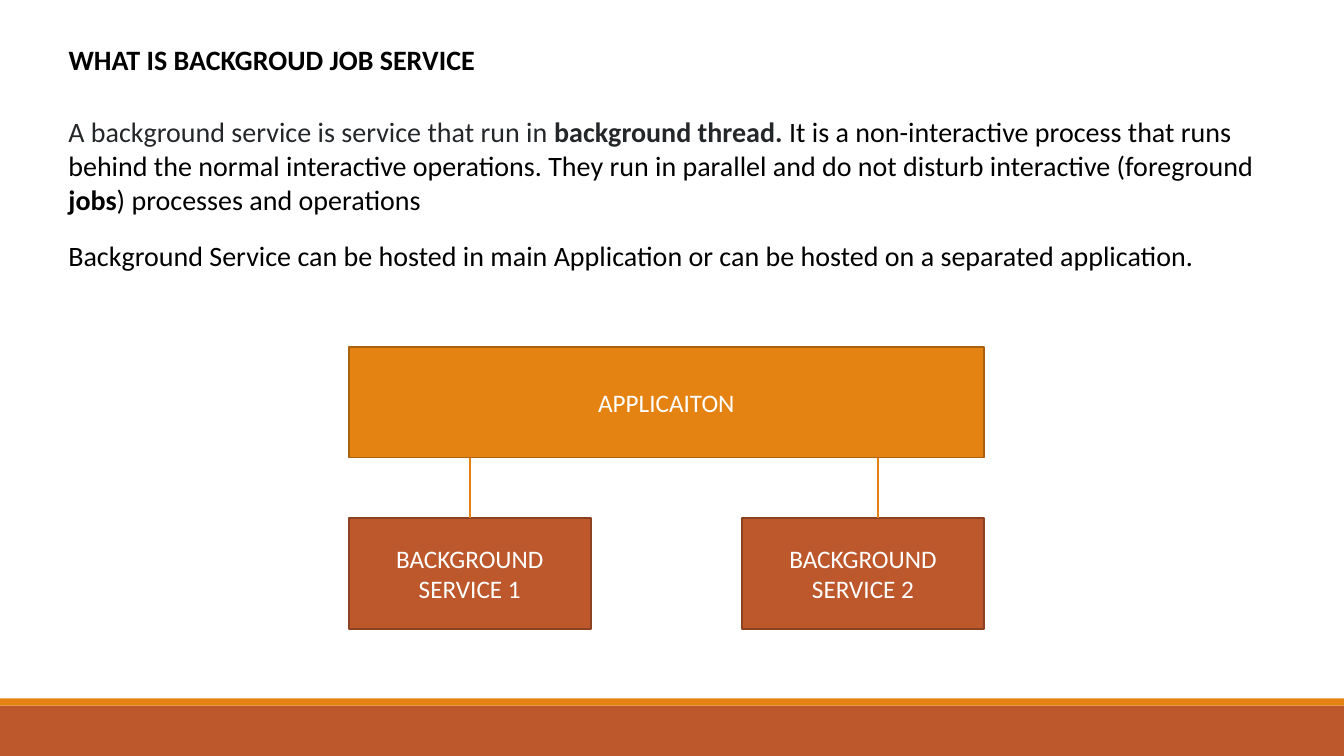
from pptx import Presentation
from pptx.dml.color import RGBColor
from pptx.enum.shapes import MSO_CONNECTOR, MSO_SHAPE
from pptx.enum.text import MSO_ANCHOR, MSO_AUTO_SIZE, PP_ALIGN
from pptx.oxml.ns import qn
from pptx.util import Inches, Pt
from lxml import etree

FONT = "Calibri"
BLACK = RGBColor(0x00, 0x00, 0x00)
CHARCOAL = RGBColor(0x24, 0x27, 0x29)
WHITE = RGBColor(0xFF, 0xFF, 0xFF)
ORANGE = RGBColor(0xE4, 0x83, 0x12)
DARK_ORANGE = RGBColor(0xA9, 0x61, 0x0D)
RUST = RGBColor(0xBD, 0x58, 0x2C)
DARK_RUST = RGBColor(0x8C, 0x41, 0x21)

SLIDE_WIDTH, SLIDE_HEIGHT = 13.33, 7.5


def add_run(paragraph, text, size, color, bold=False):
    run = paragraph.add_run()
    run.text = text
    run.font.name = FONT
    run.font.size = Pt(size)
    run.font.bold = bold
    run.font.color.rgb = color


def add_rectangle(slide, left, top, width, height, fill, outline=None):
    shape = slide.shapes.add_shape(
        MSO_SHAPE.RECTANGLE, Inches(left), Inches(top), Inches(width), Inches(height))
    shape.shadow.inherit = False
    shape.fill.solid()
    shape.fill.fore_color.rgb = fill
    if outline is None:
        shape.line.fill.background()
    else:
        shape.line.color.rgb = outline
        shape.line.width = Pt(1.25)
    return shape


def add_footer_bands(slide, top, stripe_height):
    band_top = top + stripe_height
    add_rectangle(slide, 0, band_top, SLIDE_WIDTH, SLIDE_HEIGHT - band_top, RUST)
    add_rectangle(slide, 0, top, SLIDE_WIDTH, stripe_height, ORANGE)


def set_title(slide, left, top, width, height, text):
    title = slide.shapes.title
    title.left, title.top = Inches(left), Inches(top)
    title.width, title.height = Inches(width), Inches(height)
    frame = title.text_frame
    frame.word_wrap = False
    frame.auto_size = MSO_AUTO_SIZE.NONE
    frame.vertical_anchor = MSO_ANCHOR.TOP
    paragraph = frame.paragraphs[0]
    paragraph.alignment = PP_ALIGN.LEFT
    add_run(paragraph, text, 20, BLACK, bold=True)


def add_body_text(slide, left, top, width, height, runs):
    """Add one wrapped paragraph from (text, color, bold) runs."""
    box = slide.shapes.add_textbox(
        Inches(left), Inches(top), Inches(width), Inches(height))
    box.text_frame.word_wrap = True
    for text, color, bold in runs:
        add_run(box.text_frame.paragraphs[0], text, 20, color, bold)


def add_labelled_box(slide, left, top, width, height, text, fill, outline):
    shape = add_rectangle(slide, left, top, width, height, fill, outline)
    frame = shape.text_frame
    frame.word_wrap = True
    frame.vertical_anchor = MSO_ANCHOR.MIDDLE
    paragraph = frame.paragraphs[0]
    paragraph.alignment = PP_ALIGN.CENTER
    add_run(paragraph, text, 18, WHITE)
    return shape


def add_link(slide, x, top, bottom):
    connector = slide.shapes.add_connector(
        MSO_CONNECTOR.STRAIGHT, Inches(x), Inches(top), Inches(x), Inches(bottom))
    connector.line.color.rgb = ORANGE
    connector.line.width = Pt(1)
    etree.SubElement(connector._element.spPr, qn("a:effectLst"))
    return connector


def add_service_diagram(slide, left, top, width):
    """Draw the application with one service under each of its ends."""
    box_height, gap, service_width = 1.1, 0.6, 2.4
    application_bottom = top + box_height
    service_top = application_bottom + gap
    second_left = left + width - service_width

    add_labelled_box(slide, left, top, width, box_height,
                     "APPLICAITON", ORANGE, DARK_ORANGE)
    first_service, _ = [
        add_labelled_box(slide, service_left, service_top, service_width, box_height,
                         f"BACKGROUND SERVICE {number}", RUST, DARK_RUST)
        for number, service_left in enumerate((left, second_left), start=1)]

    first_link = add_link(slide, left + service_width / 2, application_bottom, service_top)
    first_link.end_connect(first_service, 0)
    # The second link sits slightly right of its service's centre.
    add_link(slide, second_left + 1.35, application_bottom, service_top)


def main():
    presentation = Presentation()
    presentation.slide_width = Inches(SLIDE_WIDTH)
    presentation.slide_height = Inches(SLIDE_HEIGHT)
    slide = presentation.slides.add_slide(presentation.slide_layouts.get_by_name("Title Only"))

    add_footer_bands(slide, 6.93, 0.07)
    set_title(slide, 0.58, 0.37, 4.27, 0.44, "WHAT IS BACKGROUD JOB SERVICE")
    add_body_text(slide, 0.58, 1.09, 12.33, 1.45, [
        ("A background service is service that run in ", CHARCOAL, False),
        ("background thread. ", CHARCOAL, True),
        ("It is a non-interactive process that runs behind the normal interactive "
         "operations. They run in parallel and do not disturb interactive "
         "(foreground ", BLACK, False),
        ("jobs", BLACK, True),
        (") processes and operations", BLACK, False),
    ])
    add_body_text(slide, 0.58, 2.32, 11.4, 0.44, [
        ("Background Service can be hosted in main Application or can be hosted "
         "on a separated application.", BLACK, False),
    ])
    add_service_diagram(slide, 3.46, 3.44, 6.3)
    presentation.save("out.pptx")


if __name__ == "__main__":
    main()
